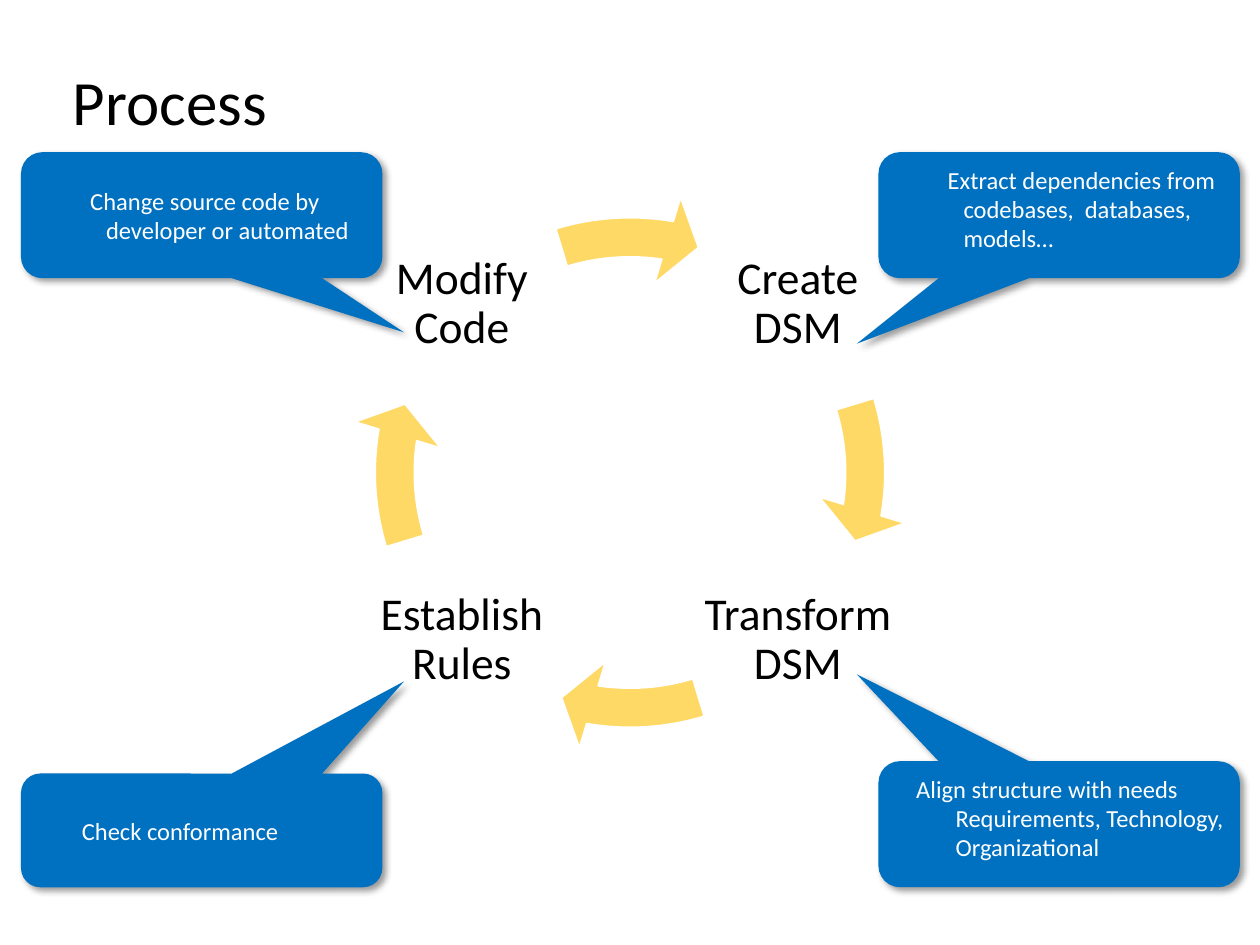
from lxml import etree
from pptx import Presentation
from pptx.dml.color import RGBColor
from pptx.enum.shapes import MSO_SHAPE
from pptx.enum.text import MSO_ANCHOR, MSO_AUTO_SIZE, PP_ALIGN
from pptx.oxml.ns import qn
from pptx.util import Pt

BLACK = RGBColor(0, 0, 0)
WHITE = RGBColor(255, 255, 255)
GOLD = RGBColor(0xFF, 0xD9, 0x66)
BLUE = RGBColor(0, 0x70, 0xC0)
ARROW = MSO_SHAPE.CIRCULAR_ARROW
CALLOUT = MSO_SHAPE.ROUNDED_RECTANGULAR_CALLOUT
TOP, MIDDLE = MSO_ANCHOR.TOP, MSO_ANCHOR.MIDDLE
LEFT, CENTER = PP_ALIGN.LEFT, PP_ALIGN.CENTER
NO_FIT = MSO_AUTO_SIZE.NONE

FONT = "Calibri"
TURN = 216  # a full turn in the units of the arrow's angle adjustments

# Steps clockwise from top right: text, side across, side down
STEPS = [("Create DSM", 1, -1), ("Transform DSM", 1, 1),
         ("Establish Rules", -1, 1), ("Modify Code", -1, -1)]

# Callouts: text, box, pointer, indent, first line, anchor
NOTES = [
    ("Extract dependencies from codebases,  databases, models…",
     (502, 87, 206.5, 72), (-0.56, 1.02), 45, -9, TOP),
    ("Align structure with needs Requirements, Technology, Organizational",
     (502, 435, 206.5, 72), (-0.56, -1.19), 40.5, -22.5, TOP),
    ("Check conformance",
     (12, 442, 206.5, 65), (0.56, -1.31), 45, -13.5, MIDDLE),
    ("Change source code by developer or automated",
     (12, 87, 206.5, 72), (0.56, 0.93), 45, -9, MIDDLE),
]


def place(box):
    return [Pt(v) for v in box]


def write(shape, text, size, color, align, anchor, pads):
    """Fill a shape with one formatted paragraph and return it."""
    frame = shape.text_frame
    across, down = Pt(pads[0]), Pt(pads[1])
    form = {"word_wrap": True, "auto_size": NO_FIT, "vertical_anchor": anchor,
            "margin_left": across, "margin_right": across,
            "margin_top": down, "margin_bottom": down}
    for name, value in form.items():
        setattr(frame, name, value)
    para = frame.paragraphs[0]
    para.alignment = align
    run = para.add_run()
    run.text = text
    for name, value in {"name": FONT, "size": Pt(size), "bold": False}.items():
        setattr(run.font, name, value)
    run.font.color.rgb = color
    return para


def add_form(slide, kind, box, fill, adjust):
    """Add a flat preset shape with its adjustments."""
    shape = slide.shapes.add_shape(kind, *place(box))
    shape.shadow.inherit = False
    shape.fill.solid()
    shape.fill.fore_color.rgb = fill
    for i, value in enumerate(adjust):
        shape.adjustments[i] = value
    return shape


def add_title(slide, box):
    title = slide.shapes.title
    title.left, title.top, title.width, title.height = place(box)
    write(title, "Process", 36, BLACK, LEFT, MIDDLE, (7.2, 3.6))


def add_cycle(slide, box):
    """Four labels at the corners, with an arrow after each one."""
    left, top, side, _ = box
    mid_x, mid_y = left + side / 2, top + side / 2
    size, reach = 113, 0.3 * side
    for i, (text, across, down) in enumerate(STEPS):
        # Label
        spot = (mid_x + across * reach - size / 2,
                mid_y + down * reach - size / 2, size, size)
        label = slide.shapes.add_textbox(*place(spot))
        para = write(label, text, 26, BLACK, CENTER, MIDDLE, (2.6, 2.6))
        para.line_spacing = 0.9
        # Arrow to the next step
        shift = i * TURN / 4
        arrow = add_form(slide, ARROW, box, GOLD,
                         (0.07, 4.65, 5.51 + shift,
                          (205.84 + shift) % TURN, 0.08))
        arrow.line.color.rgb = WHITE
        arrow.line.width = Pt(1)


def add_shade(shape):
    """Give the shape a soft shadow to the lower right."""
    effects = shape._element.spPr.find(qn("a:effectLst"))
    shade = etree.SubElement(effects, qn("a:outerShdw"), blurRad=str(Pt(4)),
                             dist=str(Pt(3)), dir="2700000", algn="tl",
                             rotWithShape="0")
    color = etree.SubElement(shade, qn("a:srgbClr"), val=str(BLACK))
    etree.SubElement(color, qn("a:alpha"), val="40000")


def add_note(slide, text, box, tip, indent, first, anchor):
    note = add_form(slide, CALLOUT, box, BLUE, (*tip, 0.17))
    note.line.fill.background()
    add_shade(note)
    para = write(note, text, 14, WHITE, LEFT, anchor, (0, 3.6))
    props = para._p.get_or_add_pPr()
    props.set("marL", str(Pt(indent)))
    props.set("indent", str(Pt(first)))


def main():
    deck = Presentation()
    deck.slide_width, deck.slide_height = Pt(720), Pt(540)
    slide = deck.slides.add_slide(deck.slide_layouts[5])
    add_title(slide, (34.5, 28, 590, 59))
    add_cycle(slide, (200, 110, 320, 320))
    for note in NOTES:
        add_note(slide, *note)
    deck.save("out.pptx")


if __name__ == "__main__":
    main()
